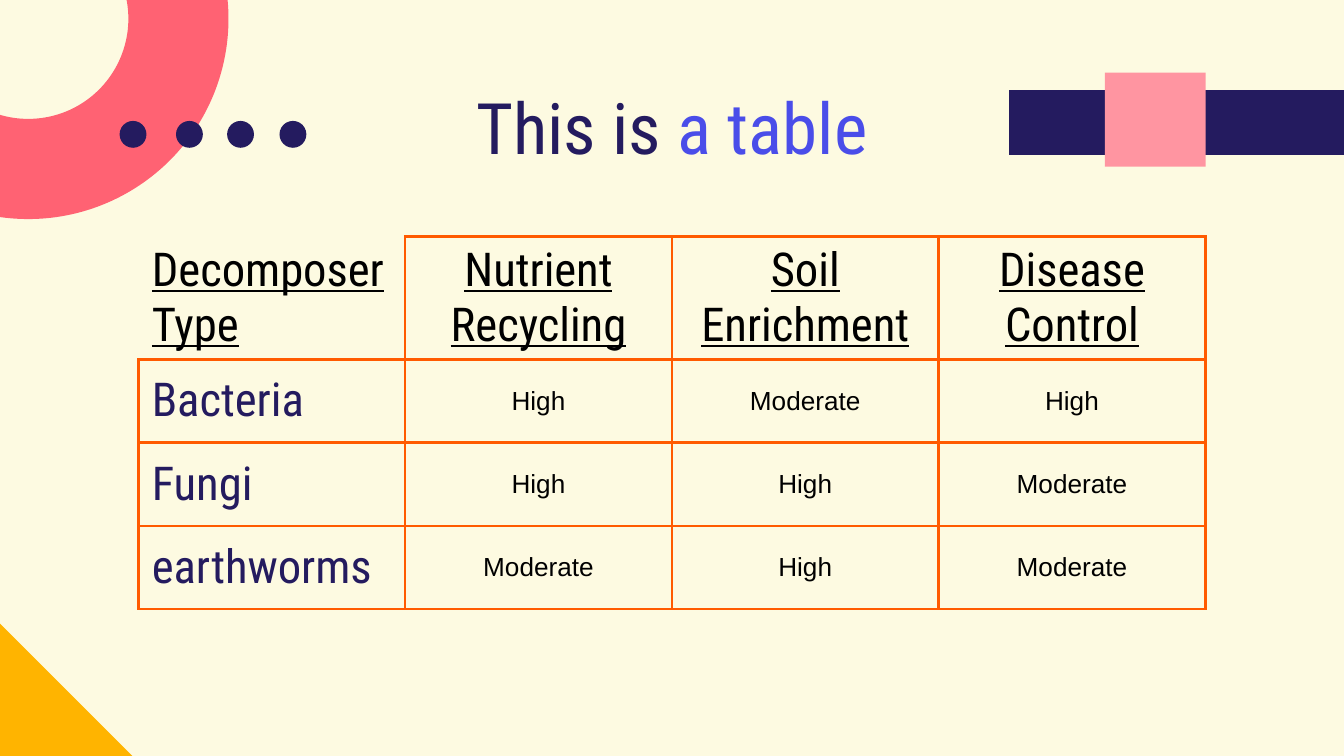
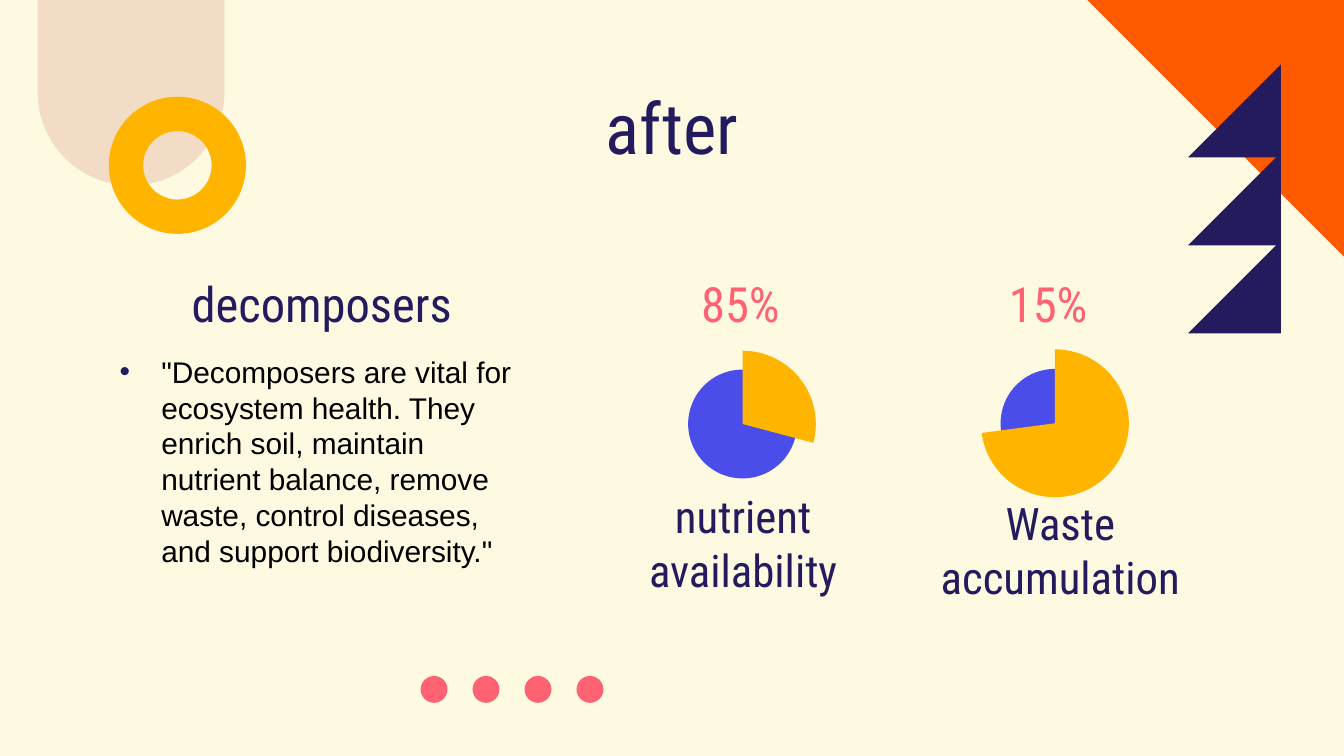
from lxml import etree
from pptx import Presentation
from pptx.dml.color import RGBColor
from pptx.enum.shapes import MSO_SHAPE
from pptx.enum.text import MSO_ANCHOR, MSO_AUTO_SIZE, PP_ALIGN
from pptx.oxml.ns import qn
from pptx.util import Inches, Pt

CREAM, NAVY, BLUE, BLACK = "FDFAE1", "241B5F", "4A4DE9", "000000"
CORAL, PINK, AMBER, ORANGE, SAND = "FF6273", "FF95A1", "FFB400", "FF5A00", "F3DCC6"
DISPLAY, PLAIN = "Roboto Condensed", "Arial"

DONUT, OVAL, PIE = MSO_SHAPE.DONUT, MSO_SHAPE.OVAL, MSO_SHAPE.PIE
RECTANGLE, PROCESS = MSO_SHAPE.RECTANGLE, MSO_SHAPE.FLOWCHART_PROCESS
TRIANGLE, DELAY = MSO_SHAPE.RIGHT_TRIANGLE, MSO_SHAPE.FLOWCHART_DELAY
LEFT, CENTER = PP_ALIGN.LEFT, PP_ALIGN.CENTER
TOP, MIDDLE, BOTTOM = MSO_ANCHOR.TOP, MSO_ANCHOR.MIDDLE, MSO_ANCHOR.BOTTOM
NO_FIT = MSO_AUTO_SIZE.NONE

TITLE_BOX = (0.79, 0.64, 8.42, 1.02)
DOT = 0.2
DEGREE = 0.6
TITLE_AND_BODY, TITLE_ONLY = 1, 5

TABLE_ROWS = [
    ["Decomposer Type", "Nutrient Recycling", "Soil Enrichment", "Disease Control"],
    ["Bacteria", "High", "Moderate", "High"],
    ["Fungi", "High", "High", "Moderate"],
    ["earthworms", "Moderate", "High", "Moderate"],
]
DECOMPOSER_TEXT = (
    '"Decomposers are vital for ecosystem health. They enrich soil, '
    'maintain nutrient balance, remove waste, control diseases, '
    'and support biodiversity."'
)


def rgb(value):
    return RGBColor.from_string(value)


def inches(box):
    return [Inches(length) for length in box]


def style_span(span, size, color, font=DISPLAY, underline=None):
    span.font.size = Pt(size)
    span.font.name = font
    span.font.color.rgb = rgb(color)
    span.font.underline = underline


def add_figure(slide, kind, box, color, adjustments=(), rotation=0, flip=False):
    figure = slide.shapes.add_shape(kind, *inches(box))
    figure.shadow.inherit = False
    figure.fill.solid()
    figure.fill.fore_color.rgb = rgb(color)
    figure.line.fill.background()
    figure.rotation = rotation
    for index, value in enumerate(adjustments):
        figure.adjustments[index] = value
    if flip:
        figure.element.spPr.find(qn("a:xfrm")).set("flipH", "1")


def add_dots(slide, lefts, top, color):
    for left in lefts:
        add_figure(slide, OVAL, (left, top, DOT, DOT), color)


def place(holder, box, inset, anchor):
    holder.left, holder.top, holder.width, holder.height = inches(box)
    frame = holder.text_frame
    frame.word_wrap = True
    frame.auto_size = NO_FIT
    frame.vertical_anchor = anchor
    frame.margin_left = frame.margin_right = Inches(0.1)
    frame.margin_top = frame.margin_bottom = Inches(inset)
    return frame


def add_title(slide, parts):
    frame = place(slide.shapes.title, TITLE_BOX, 0.05, TOP)
    para = frame.paragraphs[0]
    para.alignment = CENTER
    para.line_spacing = 0.9
    for text, color in parts:
        span = para.add_run()
        span.text = text
        style_span(span, 38, color)


def add_label(slide, box, text, size, color):
    frame = place(slide.shapes.add_textbox(*inches(box)), box, 0.1, BOTTOM)
    frame.text = text
    para = frame.paragraphs[0]
    para.alignment = CENTER
    style_span(para.runs[0], size, color)


def add_list(slide, box, text):
    frame = place(slide.placeholders[1], box, 0.1, TOP)
    frame.text = text
    para = frame.paragraphs[0]
    para.alignment = LEFT
    para.space_before = Pt(0)
    para.line_spacing = 1.0
    style_span(para.runs[0], 16, BLACK, PLAIN)
    properties = para._p.get_or_add_pPr()
    properties.set("marL", str(Inches(0.31)))
    properties.set("indent", str(-Inches(0.31)))
    bullet_color = etree.SubElement(properties, qn("a:buClr"))
    etree.SubElement(bullet_color, qn("a:srgbClr"), val=NAVY)
    etree.SubElement(properties, qn("a:buFont"), typeface=PLAIN)
    etree.SubElement(properties, qn("a:buChar"), char="•")


def set_borders(cell, hidden=()):
    properties = cell._tc.get_or_add_tcPr()
    for side in ("lnL", "lnR", "lnT", "lnB"):
        line = etree.SubElement(properties, qn(f"a:{side}"), w=str(Pt(1.5)))
        if side in hidden:
            etree.SubElement(line, qn("a:noFill"))
        else:
            fill = etree.SubElement(line, qn("a:solidFill"))
            etree.SubElement(fill, qn("a:srgbClr"), val=ORANGE)


def format_cell(cell, row, column, text):
    corner = row == 0 and column == 0
    set_borders(cell, ("lnL", "lnT") if corner else ())
    if corner:
        cell.fill.background()
    else:
        cell.fill.solid()
        cell.fill.fore_color.rgb = rgb(CREAM)
    cell.vertical_anchor = MIDDLE
    cell.text_frame.text = text
    para = cell.text_frame.paragraphs[0]
    para.alignment = CENTER if column else LEFT
    span = para.runs[0]
    if row == 0:
        style_span(span, 25, BLACK, underline=True)
    elif column == 0:
        style_span(span, 25, NAVY)
    else:
        style_span(span, 14, BLACK, PLAIN)


def add_decomposer_table(slide, box):
    columns = len(TABLE_ROWS[0])
    table = slide.shapes.add_table(len(TABLE_ROWS), columns, *inches(box)).table
    table.first_row = table.horz_banding = False
    for column in table.columns:
        column.width = Inches(box[2] / columns)
    for index, row in enumerate(table.rows):
        row.height = Inches(0.62 if index else 0.84)
    for row, texts in enumerate(TABLE_ROWS):
        for column, text in enumerate(texts):
            format_cell(table.cell(row, column), row, column, text)


def add_share(slide, box, percent, pie_box, start, label, label_box):
    left, top, size = pie_box
    disc = 0.81
    gap = (size - disc) / 2
    add_figure(slide, OVAL, (left + gap, top + gap, disc, disc), BLUE)
    angles = (start * DEGREE, 270 * DEGREE)
    add_figure(slide, PIE, (left, top, size, size), AMBER, angles, flip=True)
    add_label(slide, box, percent, 26, CORAL)
    add_label(slide, label_box, label, 24, NAVY)


def add_triangle_stack(slide, left, top, size, bottom):
    pitch = (bottom - top - size) / 2
    for index in range(3):
        box = (left, top + index * pitch, size, size)
        add_figure(slide, TRIANGLE, box, NAVY, flip=True)


def build_table_slide(deck):
    slide = deck.slides.add_slide(deck.slide_layouts[TITLE_ONLY])
    add_figure(slide, DONUT, (-1.28, -1.35, 2.98, 2.98), CORAL, [0.25])
    add_title(slide, [("This is ", NAVY), ("a table", BLUE)])
    add_decomposer_table(slide, (1.03, 1.76, 7.94, 2.7))
    add_dots(slide, (0.89, 1.31, 1.69, 2.08), 0.9, NAVY)
    add_figure(slide, PROCESS, (7.51, 0.67, 2.49, 0.48), NAVY)
    add_figure(slide, TRIANGLE, (0, 4.64, 1, 1), AMBER)
    add_figure(slide, RECTANGLE, (8.22, 0.54, 0.75, 0.7), PINK)


def build_after_slide(deck):
    slide = deck.slides.add_slide(deck.slide_layouts[TITLE_AND_BODY])
    add_title(slide, [("after", NAVY)])
    add_share(slide, (6.75, 1.99, 2.1, 0.58), "15%", (7.3, 2.6, 1.1), 7.5,
              "Waste accumulation", (6.84, 4.01, 2.1, 0.58))
    add_share(slide, (4.46, 1.99, 2.1, 0.58), "85%", (4.98, 2.61, 1.09), 165.1,
              "nutrient availability", (4.48, 3.96, 2.1, 0.58))
    add_label(slide, (1.05, 1.99, 2.69, 0.58), "decomposers", 26, NAVY)
    add_list(slide, (0.79, 2.53, 3.21, 2.5), DECOMPOSER_TEXT)
    add_figure(slide, TRIANGLE, (8.09, 0, 1.91, 1.91), ORANGE, rotation=180)
    add_figure(slide, DELAY, (0.28, -0.01, 1.39, 1.39), SAND, rotation=90)
    add_dots(slide, [3.13 + 1.16 * index / 3 for index in range(4)], 5.03, CORAL)
    add_figure(slide, DONUT, (0.81, 0.72, 1.02, 1.02), AMBER, [0.25])
    add_triangle_stack(slide, 8.84, 0.48, 0.69, 2.48)


def main():
    deck = Presentation()
    deck.slide_width = Inches(10)
    deck.slide_height = deck.slide_width * 9 // 16
    background = deck.slide_master.background.fill
    background.solid()
    background.fore_color.rgb = rgb(CREAM)
    build_table_slide(deck)
    build_after_slide(deck)
    deck.save("out.pptx")


if __name__ == "__main__":
    main()
